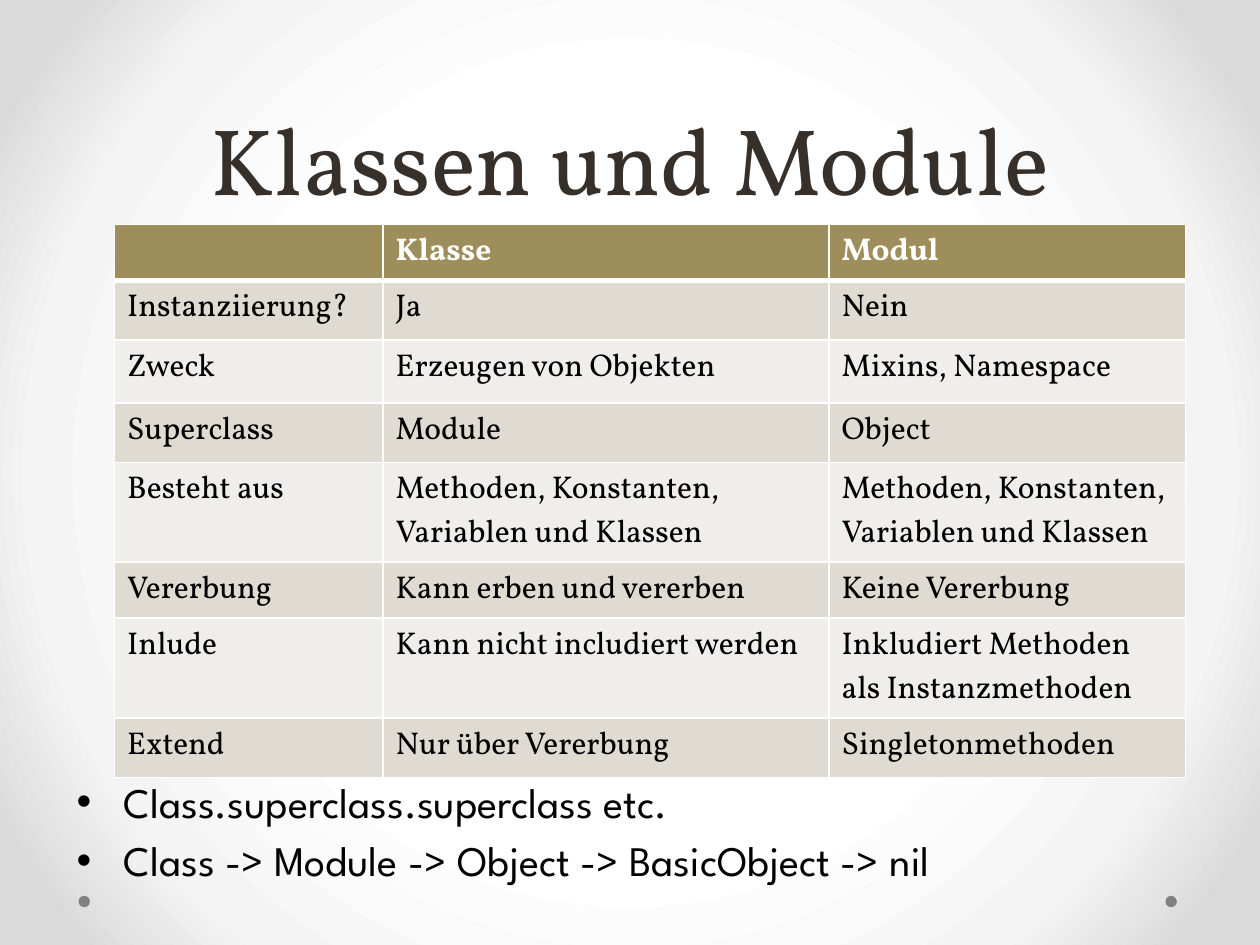
"""Builds the slide comparing classes and modules."""
from dataclasses import dataclass

from lxml import etree
from pptx import Presentation
from pptx.dml.color import RGBColor
from pptx.enum import shapes, text
from pptx.oxml import ns, parse_xml
from pptx.util import Pt

SERIF, SANS = "Vollkorn", "League Spartan"
WHITE, BLACK, BROWN, GREY = "FFFFFF", "000000", "37302A", "808080"
GOLD, DARK, LIGHT = "9E8E5C", "DFDBD2", "F0EEEA"
STOPS = {0: WHITE, 50: WHITE, 76: "F4F4F4", 92: "DADADA", 100: "DADADA"}
COLS = (153.4, 254.9, 203.7)
BULLETS = (
    "Class.superclass.superclass etc.",
    "Class -> Module -> Object -> BasicObject -> nil",
)


@dataclass
class Row:
    high: float
    cells: tuple[str, str, str]


@dataclass
class Dot:
    left: float
    top: float = 511.9
    size: float = 6.5


PARTS = "Methoden, Konstanten, Variablen und Klassen"
ROWS = (
    Row(32, ("", "Klasse", "Modul")),
    Row(34, ("Instanziierung?", "Ja", "Nein")),
    Row(36, ("Zweck", "Erzeugen von Objekten", "Mixins, Namespace")),
    Row(34, ("Superclass", "Module", "Object")),
    Row(57, ("Besteht aus", PARTS, PARTS)),
    Row(32, ("Vererbung", "Kann erben und vererben", "Keine Vererbung")),
    Row(57, ("Inlude", "Kann nicht includiert werden",
             "Inkludiert Methoden als Instanzmethoden")),
    Row(34, ("Extend", "Nur über Vererbung", "Singletonmethoden")),
)
DOTS = (Dot(666), Dot(44.9))


def paint(fill, tone: str) -> None:
    fill.solid()
    fill.fore_color.rgb = RGBColor.from_string(tone)


def style(font, tone: str, **form) -> None:
    paint(font.fill, tone)
    for key, value in form.items():
        setattr(font, key, value)


def place(shape, left: float, top: float, width: float, high: float) -> None:
    box = {"left": left, "top": top, "width": width, "height": high}
    for key, value in box.items():
        setattr(shape, key, Pt(value))


def shade(slide) -> None:
    stops = "".join(
        f'<a:gs pos="{pos * 1000}"><a:srgbClr val="{tone}"/></a:gs>'
        for pos, tone in STOPS.items()
    )
    back = parse_xml(
        f'<p:bg {ns.nsdecls("p", "a")}><p:bgPr><a:gradFill rotWithShape="1">'
        f'<a:gsLst>{stops}</a:gsLst><a:path path="circle">'
        '<a:fillToRect l="50000" t="50000" r="50000" b="50000"/></a:path>'
        "</a:gradFill><a:effectLst/></p:bgPr></p:bg>"
    )
    slide.shapes.element.getparent().insert(0, back)


def head(slide) -> None:
    title = slide.shapes.title
    place(title, 36, 0, 648, 126)
    frame = title.text_frame
    frame.text = "Klassen und Module"
    frame.vertical_anchor = text.MSO_ANCHOR.BOTTOM
    para = frame.paragraphs[0]
    para.alignment = text.PP_ALIGN.CENTER
    para.line_spacing = Pt(58)
    style(para.runs[0].font, BROWN, size=Pt(54), name=SERIF)


def spot(slide, dot: Dot) -> None:
    size = [Pt(n) for n in (dot.left, dot.top, dot.size, dot.size)]
    shape = slide.shapes.add_shape(shapes.MSO_SHAPE.OVAL, *size)
    shape.shadow.inherit = False
    paint(shape.fill, GREY)
    shape.line.fill.background()


def edge(cell, first: bool) -> None:
    props = cell._tc.get_or_add_tcPr()
    for side in "LRTB":
        wide = 3 if first and side == "B" else 1
        line = etree.SubElement(props, ns.qn(f"a:ln{side}"), w=str(Pt(wide)))
        solid = etree.SubElement(line, ns.qn("a:solidFill"))
        etree.SubElement(solid, ns.qn("a:srgbClr"), val=WHITE)


def grid(slide, rows: tuple[Row, ...]) -> None:
    high = sum(row.high for row in rows)
    size = [Pt(n) for n in (65.5, 128.3, sum(COLS), high)]
    table = slide.shapes.add_table(len(rows), len(COLS), *size).table
    for col, wide in zip(table.columns, COLS):
        col.width = Pt(wide)
    for i, row in enumerate(rows):
        first = i == 0
        table.rows[i].height = Pt(row.high)
        for j, words in enumerate(row.cells):
            cell = table.cell(i, j)
            cell.text = words
            edge(cell, first)
            paint(cell.fill, GOLD if first else DARK if i % 2 else LIGHT)
            style(cell.text_frame.paragraphs[0].font,
                  WHITE if first else BLACK,
                  size=Pt(18), name=SERIF, bold=first)


def notes(slide, lines: tuple[str, ...]) -> None:
    size = [Pt(n) for n in (36.7, 439.9, 648, 70.6)]
    frame = slide.shapes.add_textbox(*size).text_frame
    frame.word_wrap = True
    frame.text = "\n".join(lines)
    for para in frame.paragraphs:
        para.space_before = Pt(4.8)
        style(para.runs[0].font, BLACK, size=Pt(24), name=SANS)
        props = para._p.get_or_add_pPr()
        props.set("marL", str(Pt(27)))
        props.set("indent", str(Pt(-27)))
        etree.SubElement(props, ns.qn("a:buFont"), typeface="Arial")
        etree.SubElement(props, ns.qn("a:buChar"), char="•")


def main() -> None:
    deck = Presentation()
    deck.slide_width, deck.slide_height = Pt(720), Pt(540)
    slide = deck.slides.add_slide(deck.slide_layouts[5])
    shade(slide)
    for dot in DOTS:
        spot(slide, dot)
    head(slide)
    notes(slide, BULLETS)
    grid(slide, ROWS)
    deck.save("out.pptx")


if __name__ == "__main__":
    main()
